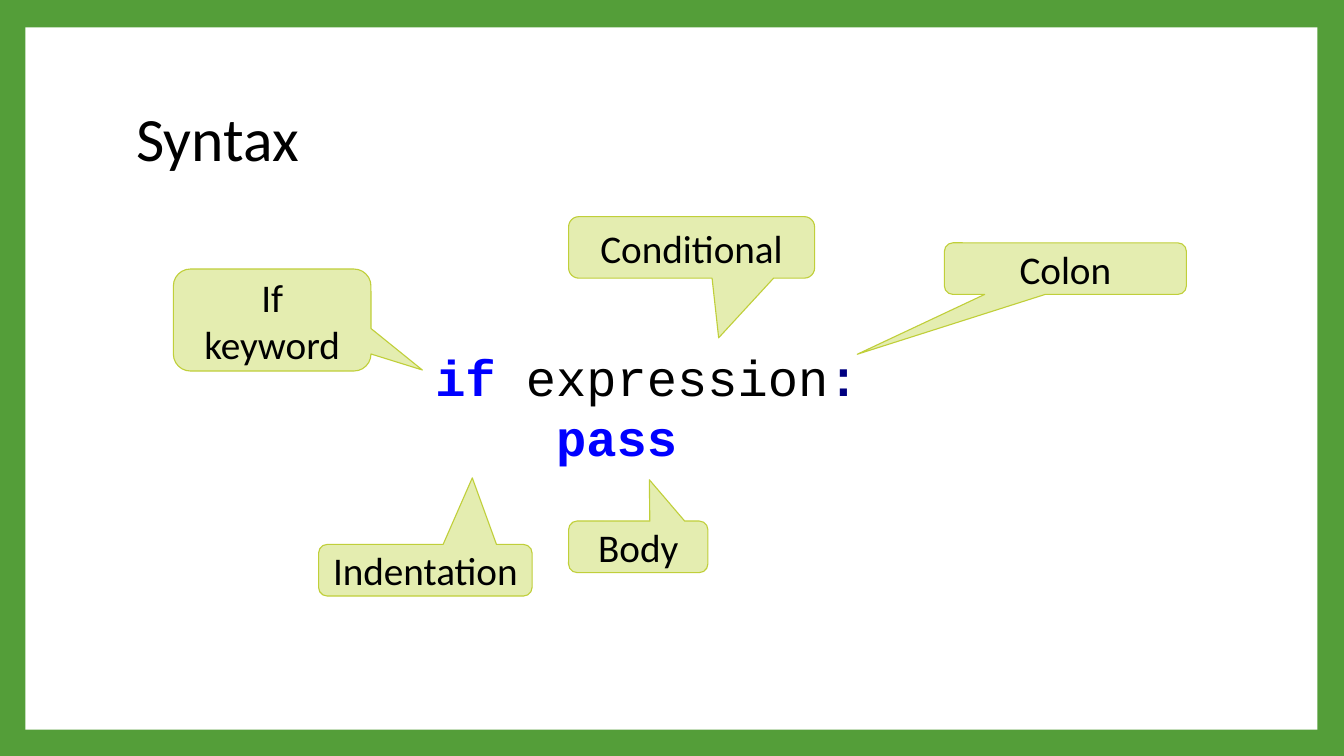
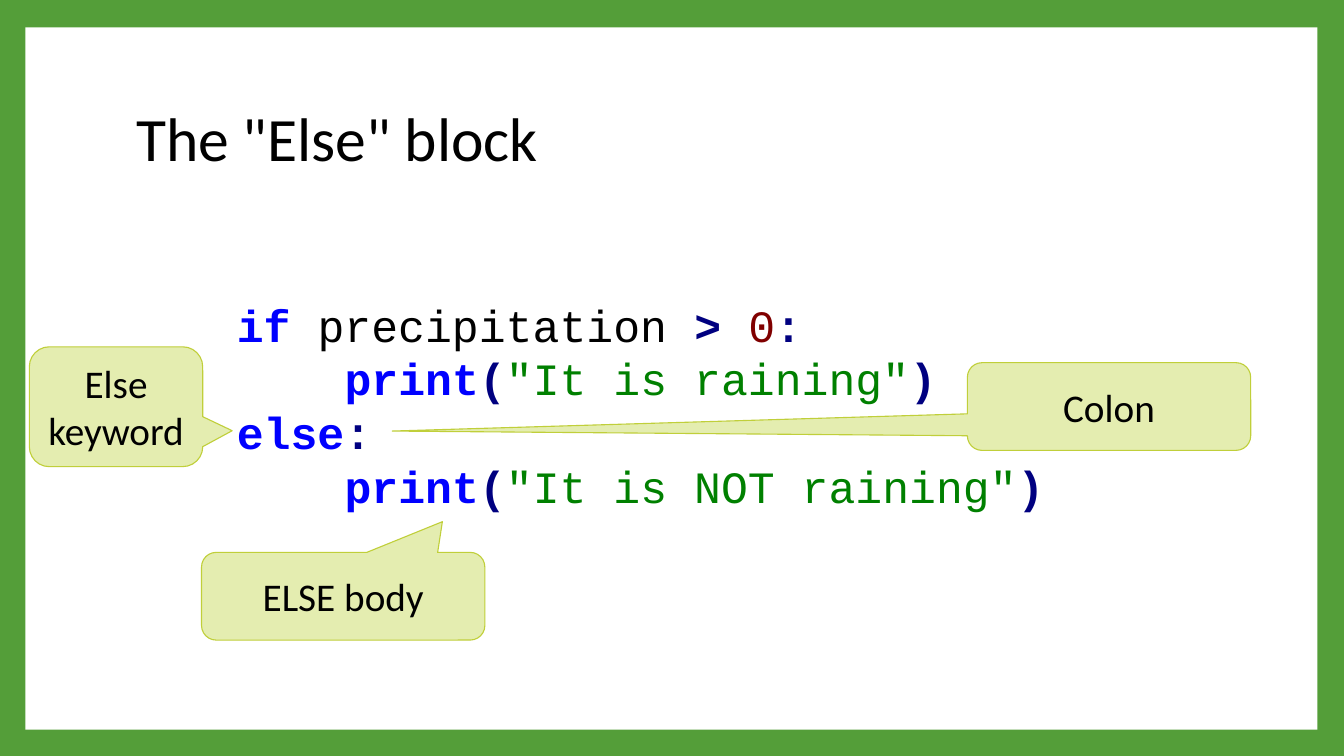
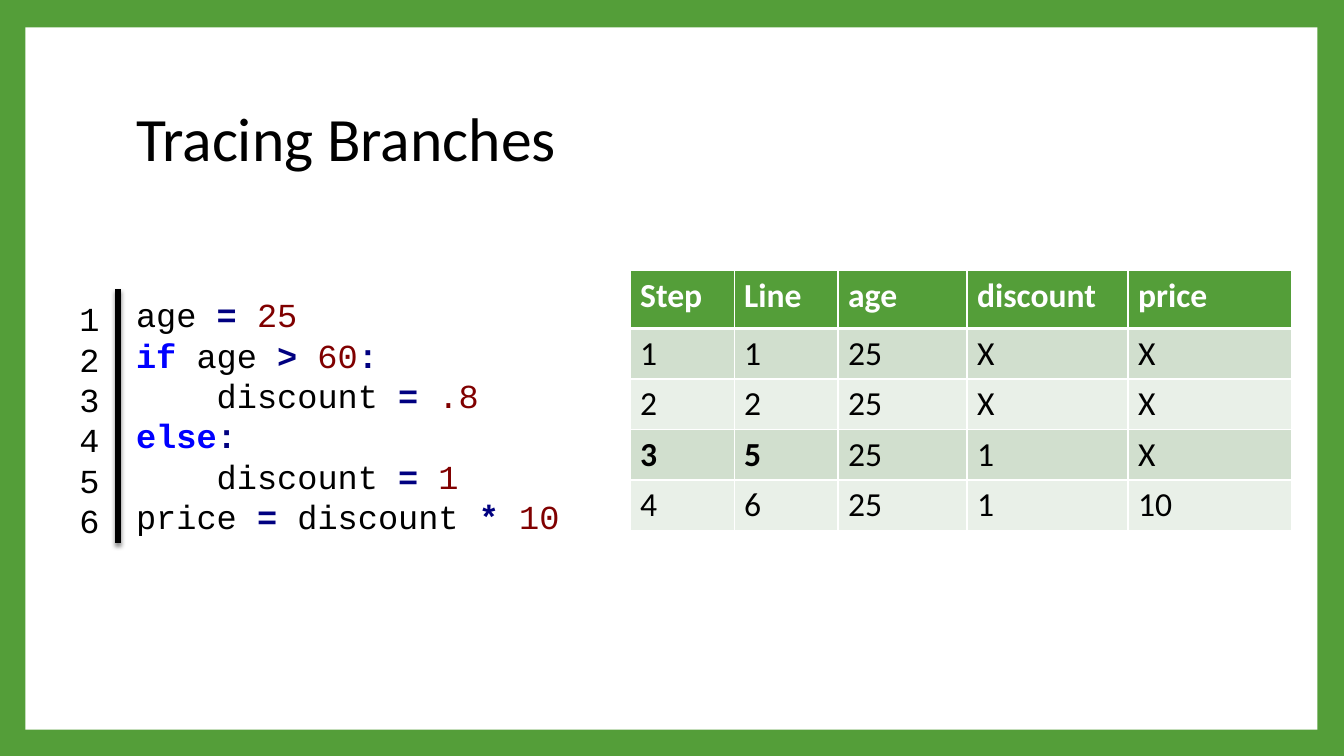
from lxml import etree
from pptx import Presentation
from pptx.dml.color import RGBColor
from pptx.enum.shapes import MSO_CONNECTOR, MSO_SHAPE
from pptx.enum.text import MSO_ANCHOR, PP_ALIGN
from pptx.oxml.ns import qn
from pptx.util import Cm, Pt

CALLOUT = MSO_SHAPE.ROUNDED_RECTANGULAR_CALLOUT
RECTANGLE = MSO_SHAPE.RECTANGLE
STRAIGHT = MSO_CONNECTOR.STRAIGHT
MIDDLE = MSO_ANCHOR.MIDDLE
CENTER = PP_ALIGN.CENTER

GREEN, WHITE, BLACK = "549E39", "FFFFFF", "000000"
CALLOUT_FILL, CALLOUT_LINE = "E4EDB0", "C0CF3A"
BANDS = ("D1DFCE", "E9F0E8")
BODY_FONT, CODE_FONT = "Calibri", "Courier New"

PLAIN, KEYWORD, OPERATOR = (BLACK, False), ("0000FF", True), ("000080", True)
NUMBER, STRING = ("800000", False), ("008000", False)

FRAME = (0.64, 0.69, 32.56, 17.7)
TITLE = (3.18, 1.7, 27.43, 3.76)


def print_line(message):
    return [("    ", PLAIN), ("print", KEYWORD), ("(", OPERATOR),
            (f'"{message}"', STRING), (")", OPERATOR)]


def assign_discount(value):
    return [("    discount ", PLAIN), ("= ", OPERATOR), (value, NUMBER)]


ELSE_LINE = [("else", KEYWORD), (":", OPERATOR)]

SLIDES = [
    {
        "title": "Syntax",
        "code_box": (10.72, 8.59, 12.24, 3.33),
        "code_size": 36,
        "code": [
            [("if", KEYWORD), (" expression", PLAIN), (":", OPERATOR)],
            [("    ", PLAIN), ("pass", KEYWORD)],
        ],
        "callouts": [
            (["If", "keyword"], (4.37, 6.78, 4.98, 2.57), (0.76, 0.49)),
            (["Body"], (14.33, 13.13, 3.51, 1.3), (0.08, -1.3)),
            (["Conditional"], (14.33, 5.46, 6.2, 1.55), (0.11, 1.47)),
            (["Indentation"], (8.03, 13.72, 5.38, 1.3), (0.22, -1.79)),
            (["Colon"], (23.8, 6.12, 6.1, 1.3), (-0.86, 1.66)),
        ],
    },
    {
        "title": 'The "Else" block',
        "code_box": (5.72, 7.37, 22.23, 5.74),
        "code_size": 32,
        "code": [
            [("if", KEYWORD), (" precipitation ", PLAIN), ("> ", OPERATOR),
             ("0", NUMBER), (":", OPERATOR)],
            print_line("It is raining"),
            ELSE_LINE,
            print_line("It is NOT raining"),
        ],
        "callouts": [
            (["ELSE body"], (5.08, 13.92, 7.14, 2.21), (0.35, -0.85)),
            (["Colon"], (24.38, 9.14, 7.14, 2.21), (-2.53, 0.28)),
            (["Else keyword"], (0.74, 8.74, 4.37, 3.02), (0.67, 0.2)),
        ],
    },
    {
        "title": "Tracing Branches",
        "code_box": (3.18, 7.29, 13.31, 6.4),
        "code_size": 24,
        "code": [
            [("age ", PLAIN), ("= ", OPERATOR), ("25", NUMBER)],
            [("if", KEYWORD), (" age ", PLAIN), ("> ", OPERATOR),
             ("60", NUMBER), (":", OPERATOR)],
            assign_discount(".8"),
            ELSE_LINE,
            assign_discount("1"),
            [("price ", PLAIN), ("=", OPERATOR), (" discount ", PLAIN),
             ("* ", OPERATOR), ("10", NUMBER)],
        ],
        "callouts": [],
    },
]

NUMBERS_BOX = (1.75, 7.39, 1.42, 6.4)
RULE_X, RULE_TOP, RULE_BOTTOM = 2.97, 7.29, 13.69

TRACE_LEFT, TRACE_TOP = 15.88, 6.81
TRACE_COLUMNS = (2.62, 2.62, 3.25, 4.06, 4.11)
HEADER_HEIGHT, ROW_HEIGHT = 1.47, 1.22
TRACE = [
    ("Step", "Line", "age", "discount", "price"),
    ("1", "1", "25", "X", "X"),
    ("2", "2", "25", "X", "X"),
    ("3", "5", "25", "1", "X"),
    ("4", "6", "25", "1", "10"),
]
BOLD_CELLS = {(3, 0), (3, 1)}


def rgb(value):
    return RGBColor.from_string(value)


def place(box):
    return [Cm(length) for length in box]


def style(font, name, size, color=None, bold=None):
    font.name, font.size, font.bold = name, Pt(size), bold
    if color:
        font.color.rgb = rgb(color)


def add_paragraphs(frame, count):
    return [frame.paragraphs[0]] + [frame.add_paragraph() for _ in range(count - 1)]


def add_box(slide, box):
    frame = slide.shapes.add_textbox(*place(box)).text_frame
    frame.word_wrap = True
    return frame


def add_filled(slide, preset, box, fill):
    shape = slide.shapes.add_shape(preset, *place(box))
    shape.shadow.inherit = False
    shape.fill.solid()
    shape.fill.fore_color.rgb = rgb(fill)
    return shape


def start_slide(prs, title):
    slide = prs.slides.add_slide(prs.slide_layouts[6])
    add_filled(slide, RECTANGLE, FRAME, WHITE).line.fill.background()
    frame = add_box(slide, TITLE)
    frame.vertical_anchor = MIDDLE
    heading = frame.paragraphs[0]
    heading.text = title
    heading.line_spacing = 0.9
    style(heading.font, BODY_FONT, 44, BLACK)
    return slide


def add_code(slide, box, size, lines):
    paragraphs = add_paragraphs(add_box(slide, box), len(lines))
    for paragraph, tokens in zip(paragraphs, lines):
        style(paragraph.font, CODE_FONT, size)
        for text, (color, bold) in tokens:
            run = paragraph.add_run()
            run.text = text
            run.font.bold = bold
            run.font.color.rgb = rgb(color)


def add_callout(slide, lines, box, tip):
    callout = add_filled(slide, CALLOUT, box, CALLOUT_FILL)
    callout.line.color.rgb = rgb(CALLOUT_LINE)
    callout.line.width = Pt(0.79)
    callout.adjustments[0], callout.adjustments[1] = tip
    frame = callout.text_frame
    frame.vertical_anchor = MIDDLE
    for paragraph, text in zip(add_paragraphs(frame, len(lines)), lines):
        paragraph.text = text
        paragraph.alignment = CENTER
        style(paragraph.font, BODY_FONT, 28, BLACK)


def add_line_numbers(slide, count):
    rule = slide.shapes.add_connector(
        STRAIGHT, *place((RULE_X, RULE_TOP, RULE_X, RULE_BOTTOM)))
    rule.line.color.rgb = rgb(BLACK)
    rule.line.width = Pt(4.25)
    effects = etree.SubElement(rule._element.spPr, qn("a:effectLst"))
    shadow = etree.SubElement(effects, qn("a:outerShdw"), blurRad=str(Pt(3)),
                              dist=str(Pt(2)), dir="5400000", rotWithShape="0")
    tint = etree.SubElement(shadow, qn("a:srgbClr"), val=BLACK)
    etree.SubElement(tint, qn("a:alpha"), val="45000")

    paragraphs = add_paragraphs(add_box(slide, NUMBERS_BOX), count)
    for number, paragraph in enumerate(paragraphs, 1):
        paragraph.text = str(number)
        style(paragraph.font, CODE_FONT, 24, BLACK)


def add_borders(cell, widths):
    properties = cell._tc.get_or_add_tcPr()
    for side, width in zip("LRTB", widths):
        border = etree.SubElement(properties, qn(f"a:ln{side}"), w=str(Pt(width)))
        fill = etree.SubElement(border, qn("a:solidFill"))
        etree.SubElement(fill, qn("a:srgbClr"), val=WHITE)


def add_trace(slide):
    heights = [HEADER_HEIGHT] + [ROW_HEIGHT] * (len(TRACE) - 1)
    box = (TRACE_LEFT, TRACE_TOP, sum(TRACE_COLUMNS), sum(heights))
    table = slide.shapes.add_table(
        len(TRACE), len(TRACE_COLUMNS), *place(box)).table
    table.horz_banding = False
    for column, width in zip(table.columns, TRACE_COLUMNS):
        column.width = Cm(width)
    for r, (values, height) in enumerate(zip(TRACE, heights)):
        table.rows[r].height = Cm(height)
        header = r == 0
        for c, value in enumerate(values):
            cell = table.cell(r, c)
            add_borders(cell, (1, 1, 3 if r == 1 else 1, 3 if header else 1))
            cell.fill.solid()
            cell.fill.fore_color.rgb = rgb(GREEN if header else BANDS[(r - 1) % 2])
            paragraph = cell.text_frame.paragraphs[0]
            paragraph.text = value
            style(paragraph.font, BODY_FONT, 24, WHITE if header else BLACK,
                  header or (r, c) in BOLD_CELLS)


def main():
    prs = Presentation()
    prs.slide_width, prs.slide_height = Cm(33.87), Cm(19.05)
    background = prs.slide_master.background.fill
    background.solid()
    background.fore_color.rgb = rgb(GREEN)
    for content in SLIDES:
        slide = start_slide(prs, content["title"])
        add_code(slide, content["code_box"], content["code_size"], content["code"])
        for callout in content["callouts"]:
            add_callout(slide, *callout)
    add_line_numbers(slide, len(content["code"]))
    add_trace(slide)
    prs.save("out.pptx")


if __name__ == "__main__":
    main()
